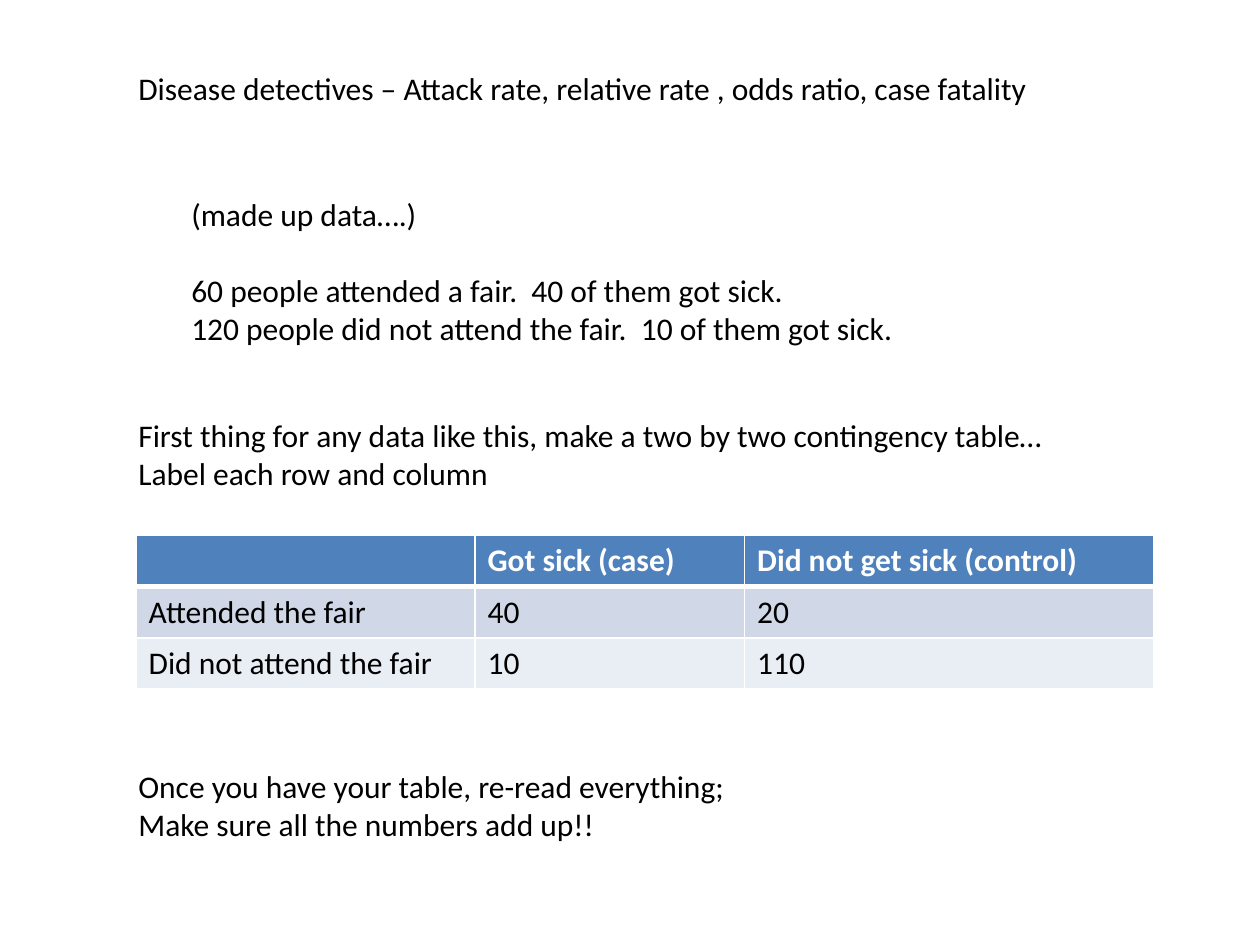
from lxml.etree import SubElement as Sub
from pptx import Presentation
from pptx.dml.color import RGBColor as Rgb
from pptx.enum.text import MSO_AUTO_SIZE as Fit
from pptx.oxml.ns import qn
from pptx.util import Inches, Pt

COLORS = {
    "ink": "000000",
    "paper": "FFFFFF",
    "head": "4F81BD",
    "odd": "D0D8E8",
    "even": "E9EDF4",
}


class Page:
    font = "Calibri"
    size = 18
    cols, rows = 40, 30

    def __init__(self, deck):
        self.slide = deck.slides.add_slide(deck.slide_layouts[6])
        self.unit = deck.slide_width / self.cols, deck.slide_height / self.rows

    def place(self, *box):
        return [round(n * self.unit[i % 2]) for i, n in enumerate(box)]

    def style(self, frame, color="ink", bold=False):
        for par in frame.paragraphs:
            for run in par.runs:
                run.font.name = self.font
                run.font.size = Pt(self.size)
                run.font.bold = bold
                run.font.color.rgb = Rgb.from_string(COLORS[color])

    def text(self, box, lines, gap=None):
        frame = self.slide.shapes.add_textbox(*self.place(*box)).text_frame
        frame.word_wrap = False
        frame.auto_size = Fit.SHAPE_TO_FIT_TEXT
        frame.text = "\n".join(lines)
        if gap is not None:
            frame.paragraphs[gap].space_after = Pt(22)
        self.style(frame)

    def edge(self, cell, side, width):
        props = cell._tc.get_or_add_tcPr()
        line = Sub(props, qn("a:ln" + side), w=str(Pt(width)))
        fill = Sub(line, qn("a:solidFill"))
        Sub(fill, qn("a:srgbClr"), val=COLORS["paper"])

    def table(self, box, widths, data):
        shape = self.slide.shapes.add_table(
            len(data), len(widths), *self.place(*box))
        grid = shape.table
        for col, width in zip(grid.columns, widths):
            col.width = Inches(width)
        for r, row in enumerate(data):
            tone = "head" if r == 0 else ("even", "odd")[r % 2]
            for c, word in enumerate(row):
                cell = grid.cell(r, c)
                for side in "LRTB":
                    thick = (r, side) in ((0, "B"), (1, "T"))
                    self.edge(cell, side, 3 if thick else 1)
                cell.fill.solid()
                cell.fill.fore_color.rgb = Rgb.from_string(COLORS[tone])
                cell.text_frame.text = word
                self.style(cell.text_frame, "ink" if r else "paper", r == 0)


deck = Presentation()
deck.slide_width, deck.slide_height = Inches(10), Inches(7.5)
page = Page(deck)

page.text((4, 2, 29.36, 1.6), [
    "Disease detectives – Attack rate, relative rate , odds ratio, case fatality",
])
page.text((5.68, 6, 23.36, 5.24), [
    "(made up data….)",
    "60 people attended a fair.  40 of them got sick.",
    "120 people did not attend the fair.  10 of them got sick.",
], gap=0)
page.text((4, 13, 29.84, 2.84), [
    "First thing for any data like this, make a two by two contingency table…",
    "Label each row and column",
])
page.table((4.32, 17, 32.32, 4.88), (2.69, 2.14, 3.25), [
    ("", "Got sick (case)", "Did not get sick (control)"),
    ("Attended the fair", "40", "20"),
    ("Did not attend the fair", "10", "110"),
])
page.text((4, 24.16, 19.88, 2.84), [
    "Once you have your table, re-read everything; ",
    "Make sure all the numbers add up!!",
])

deck.save("out.pptx")
